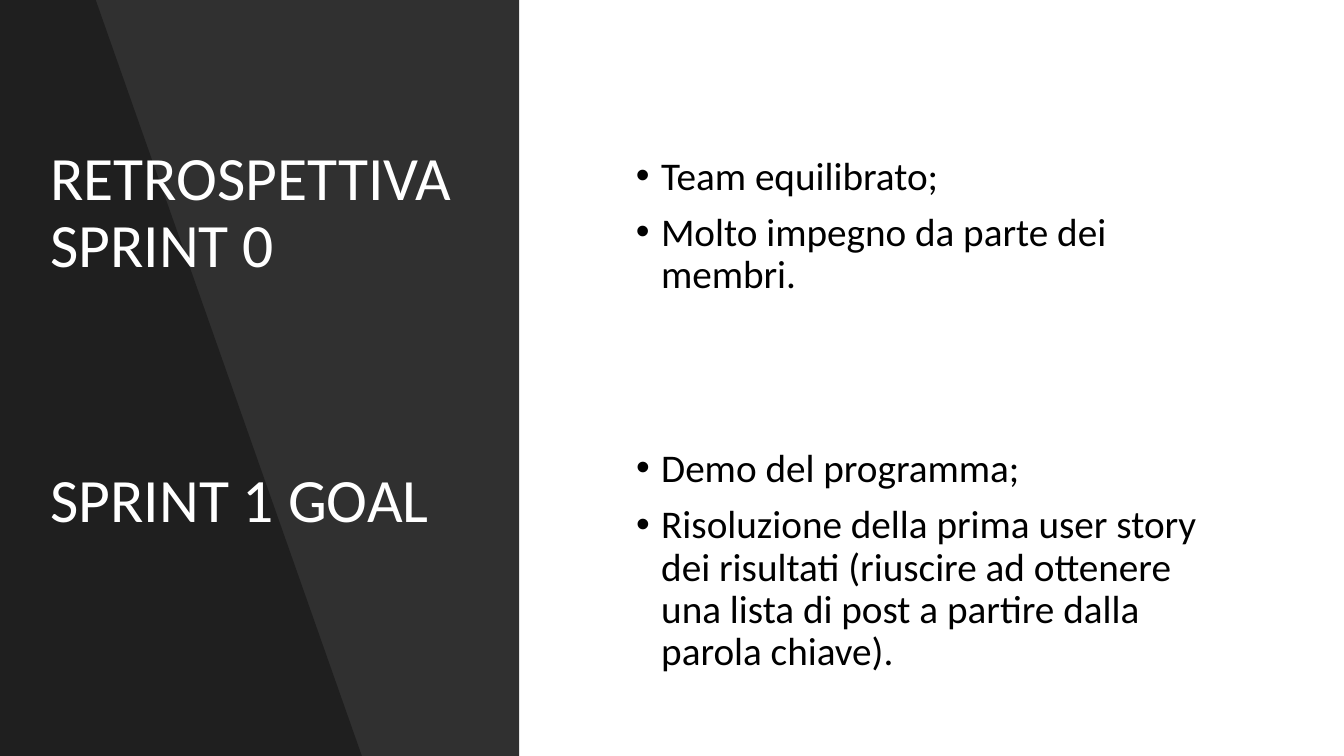
from dataclasses import dataclass

from lxml.etree import SubElement
from pptx import Presentation
from pptx.dml.color import RGBColor
from pptx.enum.text import MSO_ANCHOR, MSO_AUTO_SIZE, PP_ALIGN
from pptx.oxml.ns import qn
from pptx.shapes.autoshape import Shape
from pptx.slide import Slide
from pptx.util import Pt

WIDE, HIGH = 960, 540
FONT = "Calibri"
INDENT = 18


@dataclass
class Panel:
    dots: list[tuple[float, float]]
    alpha: int


@dataclass
class Block:
    lines: list[str]
    left: float
    top: float
    width: float
    height: float
    size: float
    color: str
    list_: bool = False
    holder: int | None = None


PANELS = [
    Panel([(0, 0), (370.8, 0), (370.8, HIGH), (0, HIGH)], 81),
    Panel([(0, 0), (68.4, 0), (258.5, HIGH), (0, HIGH)], 35),
]

BLOCKS = [
    Block(["SPRINT 1 GOAL"], 28.8, 280.8, 295.9, 157, 44, "FFFFFF", holder=0),
    Block(
        [
            "Demo del programma;",
            "Risoluzione della prima user story dei risultati (riuscire ad "
            "ottenere una lista di post a partire dalla parola chiave).",
        ],
        447.1, 316.8, 437, 173.5, 28, "000000", list_=True, holder=1,
    ),
    Block(["RETROSPETTIVA SPRINT 0"], 28.8, 74.2, 314.6, 157, 44, "FFFFFF"),
    Block(
        ["Team equilibrato;", "Molto impegno da parte dei membri."],
        447.1, 108, 437, 173.5, 28, "000000", list_=True,
    ),
]


def paint(target, color: str) -> None:
    target.solid()
    target.fore_color.rgb = RGBColor.from_string(color)


def draw_panel(slide: Slide, panel: Panel) -> None:
    start, *rest = [(Pt(x), Pt(y)) for x, y in panel.dots]
    form = slide.shapes.build_freeform(*start)
    form.add_line_segments(rest, close=True)
    shape = form.convert_to_shape()
    shape.shadow.inherit = False
    shape.line.fill.background()
    paint(shape.fill, "000000")
    shade = next(shape.element.spPr.iter(qn("a:srgbClr")))
    SubElement(shade, qn("a:alpha"), val=str(panel.alpha * 1000))


def get_box(slide: Slide, block: Block) -> Shape:
    area = [Pt(n) for n in (block.left, block.top, block.width, block.height)]
    if block.holder is None:
        return slide.shapes.add_textbox(*area)
    box = slide.placeholders[block.holder]
    box.left, box.top, box.width, box.height = area
    box.element.getparent().append(box.element)
    return box


def draw_block(slide: Slide, block: Block) -> None:
    frame = get_box(slide, block).text_frame
    frame.word_wrap = True
    frame.auto_size = MSO_AUTO_SIZE.NONE
    frame.vertical_anchor = MSO_ANCHOR.TOP if block.list_ else MSO_ANCHOR.MIDDLE
    for row, text in enumerate(block.lines):
        para = frame.add_paragraph() if row else frame.paragraphs[0]
        para.alignment = PP_ALIGN.LEFT
        para.line_spacing = 0.9
        para.space_before = Pt(10 if row else 0)
        if block.list_:
            props = para._p.get_or_add_pPr()
            props.set("marL", str(Pt(INDENT)))
            props.set("indent", str(-Pt(INDENT)))
            SubElement(props, qn("a:buFont"), typeface="Arial")
            SubElement(props, qn("a:buChar"), char="•")
        run = para.add_run()
        run.text = text
        run.font.name = FONT
        run.font.size = Pt(block.size)
        paint(run.font.fill, block.color)


def main() -> None:
    deck = Presentation()
    deck.slide_width, deck.slide_height = Pt(WIDE), Pt(HIGH)
    slide = deck.slides.add_slide(deck.slide_layouts[1])
    paint(slide.background.fill, "FFFFFF")
    for panel in PANELS:
        draw_panel(slide, panel)
    for block in BLOCKS:
        draw_block(slide, block)
    deck.save("out.pptx")


if __name__ == "__main__":
    main()
